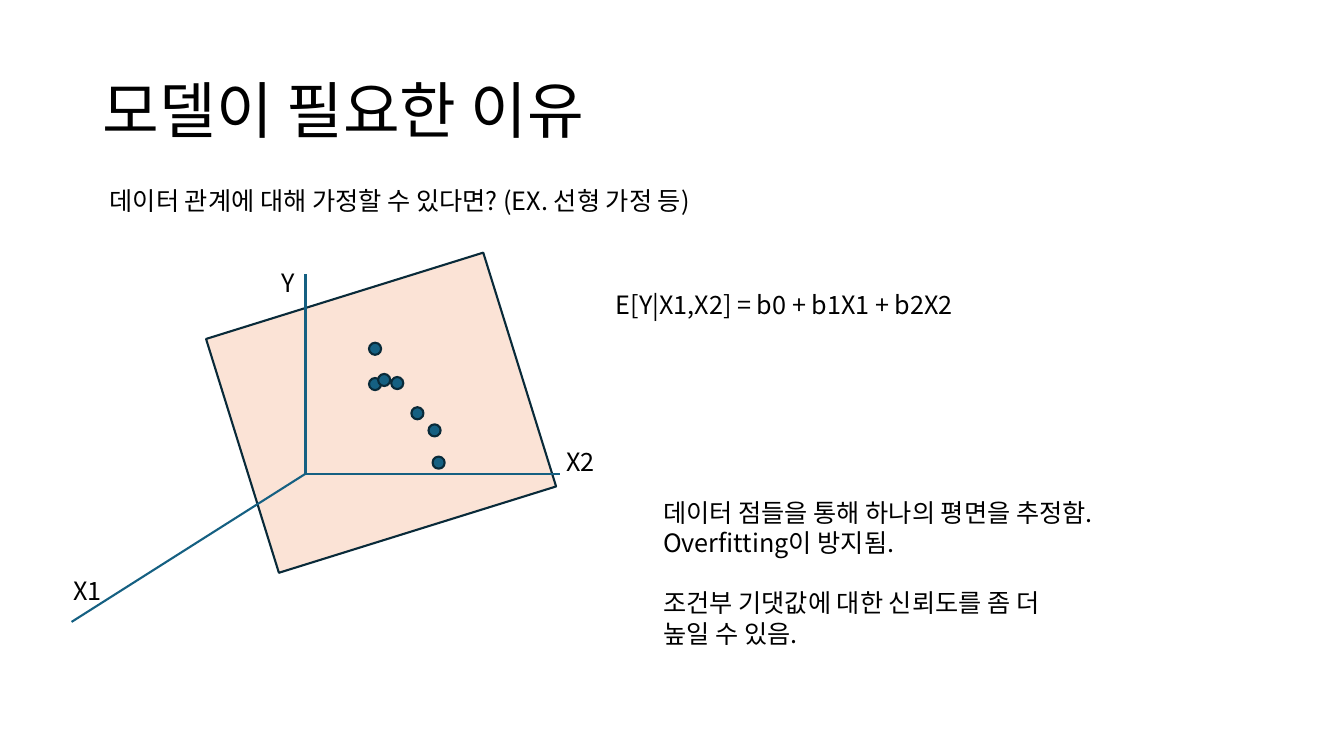
from lxml import etree
from pptx import Presentation
from pptx.dml.color import RGBColor
from pptx.enum.shapes import MSO_CONNECTOR, MSO_SHAPE
from pptx.enum.text import MSO_ANCHOR
from pptx.oxml.ns import qn
from pptx.util import Pt

PX = 9144
FONT = "Noto Sans CJK KR"
BLACK = RGBColor(0x00, 0x00, 0x00)
TEAL = RGBColor(0x15, 0x60, 0x82)
NAVY = RGBColor(0x09, 0x2A, 0x39)
PEACH = RGBColor(0xFB, 0xE3, 0xD6)
RECT = MSO_SHAPE.RECTANGLE
OVAL = MSO_SHAPE.OVAL
STRAIGHT = MSO_CONNECTOR.STRAIGHT
TOP = MSO_ANCHOR.TOP
MIDDLE = MSO_ANCHOR.MIDDLE


class Canvas:
    line_width = Pt(1.5)

    def __init__(self, slide):
        self.slide = slide

    def shape(self, kind, box, fill, rotation=0):
        sp = self.slide.shapes.add_shape(kind, *(v * PX for v in box))
        sp.shadow.inherit = False
        sp.rotation = rotation
        sp.fill.solid()
        sp.fill.fore_color.rgb = fill
        sp.line.color.rgb = NAVY
        sp.line.width = self.line_width

    def line(self, start, end):
        cn = self.slide.shapes.add_connector(
            STRAIGHT, *(v * PX for v in start + end))
        cn.line.color.rgb = TEAL
        cn.line.width = self.line_width
        etree.SubElement(cn._element.spPr, qn("a:effectLst"))

    def text(self, box, groups, size=18, anchor=TOP, spacing=1.0):
        sp = self.slide.shapes.add_textbox(*(v * PX for v in box))
        tf = sp.text_frame
        tf.word_wrap = True
        tf.vertical_anchor = anchor
        p = tf.paragraphs[0]
        for g, group in enumerate(groups):
            for i, line in enumerate(group):
                if g or i:
                    p = tf.add_paragraph()
                p.line_spacing = spacing
                if g and not i:
                    p.space_before = Pt(1.2 * size)
                r = p.add_run()
                r.text = line
                r.font.size = Pt(size)
                r.font.name = FONT
                r.font.color.rgb = BLACK
                ea = etree.SubElement(r._r.get_or_add_rPr(), qn("a:ea"))
                ea.set("typeface", FONT)


def main():
    prs = Presentation()
    prs.slide_width = 1333 * PX
    prs.slide_height = 750 * PX
    s = Canvas(prs.slides.add_slide(prs.slide_layouts[6]))

    s.shape(RECT, (234, 288, 288, 243), PEACH, 342.7)
    s.text((92, 40, 1150, 145), [["모델이 필요한 이유"]], 44, MIDDLE, 0.9)
    s.text((99, 179, 949, 40),
           [["데이터 관계에 대해 가정할 수 있다면? (EX. 선형 가정 등)"]])

    origin = (303, 470)
    for axis_end in ((303, 272), (555, 470), (71, 617)):
        s.line(origin, axis_end)

    points = ((366, 375), (388, 374), (408, 404), (425, 421),
              (429, 453), (366, 340), (375, 371))
    for x, y in points:
        s.shape(OVAL, (x, y, 12, 12), TEAL)

    axis_labels = (("Y", 272, 260, 17), ("X1", 63, 566, 65),
                   ("X2", 552, 438, 62))
    for label, x, y, width in axis_labels:
        s.text((x, y, width, 40), [[label]])

    s.text((601, 282, 534, 40), [["E[Y|X1,X2] = b0 + b1X1 + b2X2"]])
    s.text((648, 488, 520, 192), [
        ["데이터 점들을 통해 하나의 평면을 추정함.", "Overfitting이 방지됨."],
        ["조건부 기댓값에 대한 신뢰도를 좀 더", "높일 수 있음."],
    ])

    prs.save("out.pptx")


if __name__ == "__main__":
    main()
